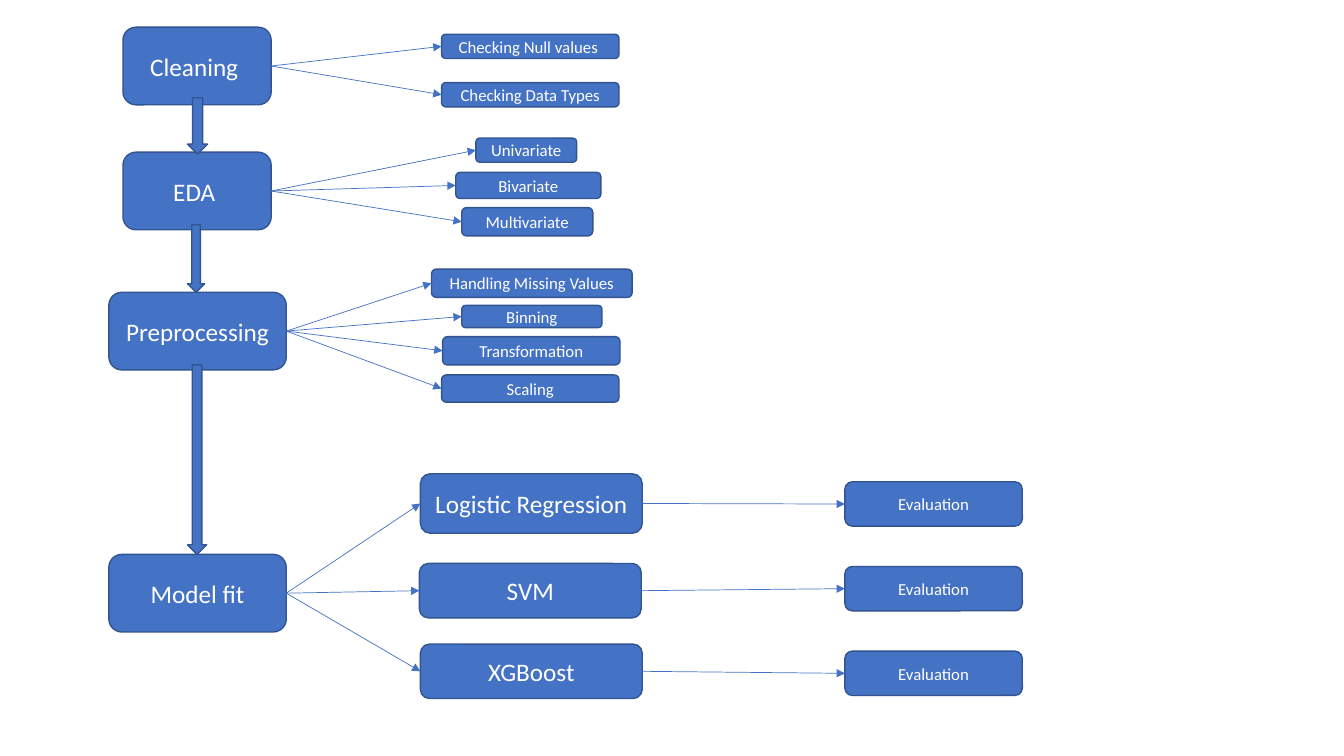
from pptx import Presentation
from pptx.dml.color import RGBColor
from pptx.enum.shapes import MSO_CONNECTOR, MSO_SHAPE
from pptx.enum.text import MSO_ANCHOR, PP_ALIGN
from pptx.oxml.ns import qn
from pptx.util import Inches, Pt
from lxml.etree import SubElement

BLUE, EDGE, WHITE = "4472C4", "325491", "FFFFFF"
LEFT_SITE, RIGHT_SITE = 1, 3


def paint(color_format, hex_value):
    color_format.rgb = RGBColor.from_string(hex_value)


def add_block(page, kind, box):
    block = page.shapes.add_shape(kind, *[Inches(length) for length in box])
    block.shadow.inherit = False
    block.fill.solid()
    paint(block.fill.fore_color, BLUE)
    paint(block.line.color, EDGE)
    block.line.width = Pt(1)
    return block


def add_label(page, box, text, size):
    label = add_block(page, MSO_SHAPE.ROUNDED_RECTANGLE, box)
    frame = label.text_frame
    frame.word_wrap = True
    frame.vertical_anchor = MSO_ANCHOR.MIDDLE
    frame.text = text
    para = frame.paragraphs[0]
    para.alignment = PP_ALIGN.CENTER
    font = para.runs[0].font
    font.name = "Calibri"
    font.size = Pt(size)
    paint(font.color, WHITE)
    return label


def link(page, source, target):
    arrow = page.shapes.add_connector(MSO_CONNECTOR.STRAIGHT, 0, 0, 0, 0)
    arrow.begin_connect(source, RIGHT_SITE)
    arrow.end_connect(target, LEFT_SITE)
    paint(arrow.line.color, BLUE)
    arrow.line.width = Pt(0.5)
    SubElement(arrow.line._get_or_add_ln(), qn("a:tailEnd"), type="triangle")
    SubElement(arrow._element.spPr, qn("a:effectLst"))


def add_stage(page, box, text, branches, size):
    left, top, width, height = box
    stage = add_label(page, box, text, 18)
    labels = []
    for name, across, down, branch_width, branch_height in branches:
        branch_box = (left + width + across, top + down, branch_width, branch_height)
        label = add_label(page, branch_box, name, size)
        link(page, stage, label)
        labels.append(label)
    return labels


def add_evaluations(page, box, models, pitch):
    left, top, width, height = box
    for row, model in enumerate(models):
        label = add_label(page, (left, top + row * pitch, width, height), "Evaluation", 12)
        link(page, model, label)


deck = Presentation()
deck.slide_width, deck.slide_height = Inches(13.33), Inches(7.5)
page = deck.slides.add_slide(deck.slide_layouts[6])

add_stage(page, (1.22, 0.27, 1.47, 0.77), "Cleaning ", [
    ("Checking Null values ", 1.69, 0.07, 1.76, 0.24),
    ("Checking Data Types", 1.69, 0.55, 1.76, 0.24),
], 12)
add_stage(page, (1.22, 1.51, 1.47, 0.77), "EDA ", [
    ("Univariate", 2.03, -0.14, 1, 0.24),
    ("Bivariate", 1.83, 0.2, 1.44, 0.26),
    ("Multivariate", 1.89, 0.55, 1.3, 0.28),
], 12)
add_stage(page, (1.08, 2.9, 1.76, 0.77), "Preprocessing", [
    ("Handling Missing Values", 1.44, -0.23, 1.99, 0.28),
    ("Binning", 1.74, 0.13, 1.39, 0.22),
    ("Transformation", 1.55, 0.44, 1.76, 0.28),
    ("Scaling", 1.54, 0.82, 1.76, 0.27),
], 12)
models = add_stage(page, (1.08, 5.5, 1.76, 0.77), "Model fit", [
    ("Logistic Regression", 1.33, -0.8, 2.2, 0.59),
    ("SVM", 1.32, 0.09, 2.2, 0.54),
    ("XGBoost", 1.33, 0.89, 2.2, 0.54),
], 18)
add_evaluations(page, (8.38, 4.78, 1.76, 0.44), models, 0.84)

for top, width, height in [(0.97, 0.2, 0.56), (2.23, 0.17, 0.67), (3.62, 0.19, 1.88)]:
    add_block(page, MSO_SHAPE.DOWN_ARROW, (1.86, top, width, height))

deck.save("out.pptx")
